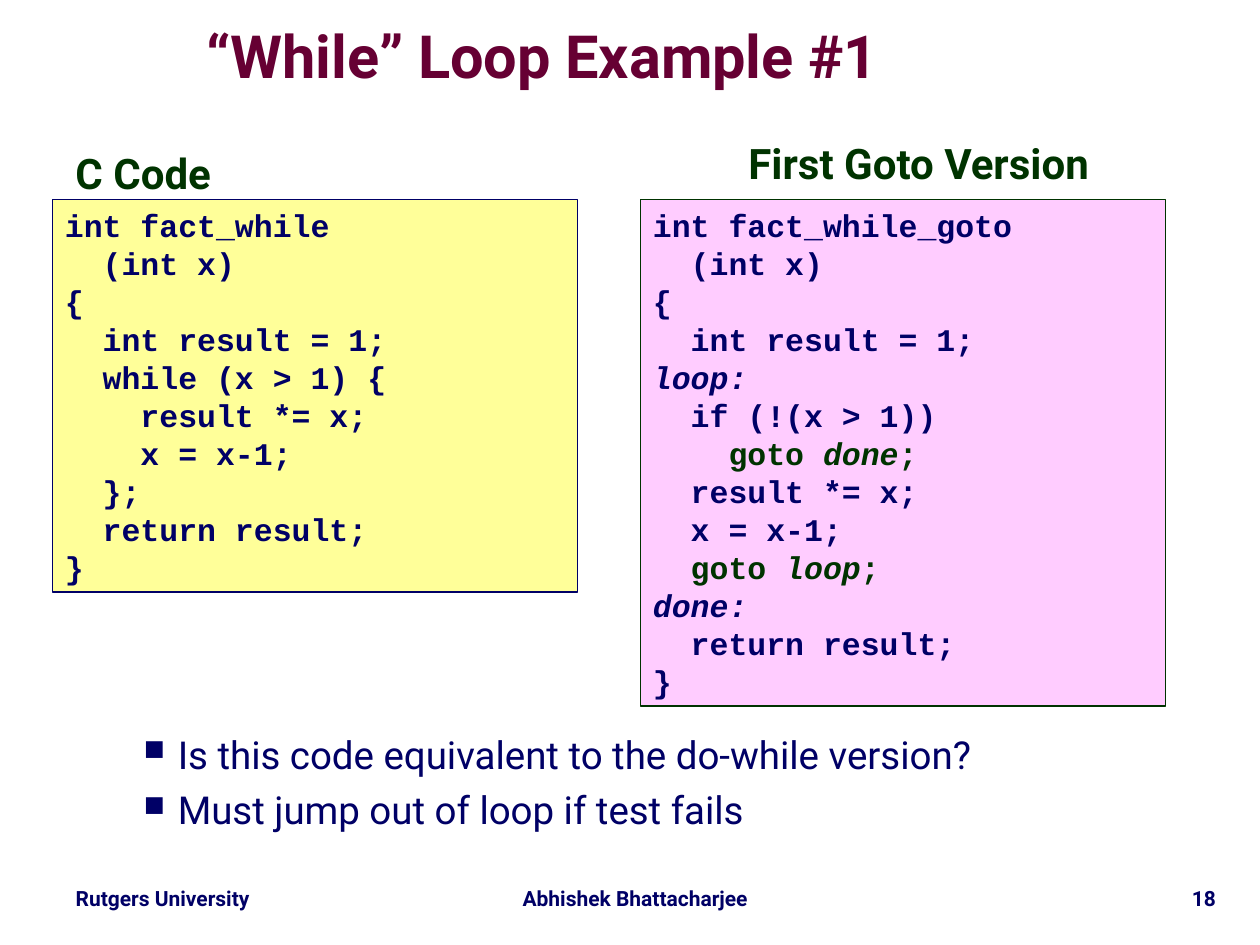
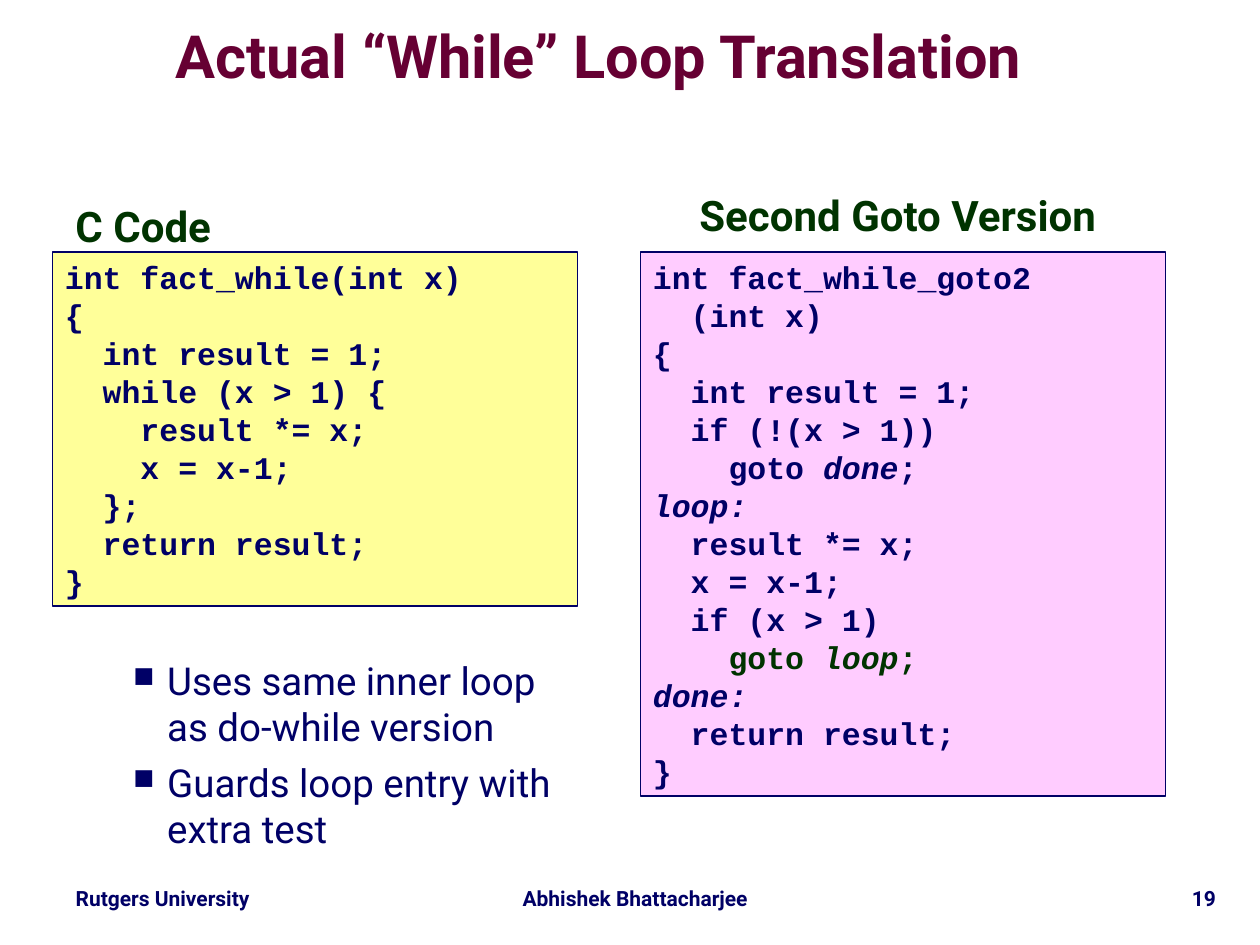
from pptx import Presentation
from pptx.dml.color import RGBColor
from pptx.enum.shapes import MSO_SHAPE
from pptx.enum.text import MSO_ANCHOR, PP_ALIGN
from pptx.util import Pt
from lxml import etree
from pptx.oxml.ns import qn

LEFT, CENTER, RIGHT = PP_ALIGN.LEFT, PP_ALIGN.CENTER, PP_ALIGN.RIGHT
TOP, MIDDLE = MSO_ANCHOR.TOP, MSO_ANCHOR.MIDDLE
RECTANGLE = MSO_SHAPE.RECTANGLE

# Shared look
NAVY, GREEN, MAROON = "000066", "003300", "660033"
YELLOW, PINK = "FFFF99", "FFCCFF"
SANS, MONO = "Roboto", "Courier New"
CODE_LINE, CODE_WIDTH, CODE_INSETS = 21.7, 300, 7.2
C_LEFT, GOTO_LEFT = 30, 366

FOOTERS = [
    (24, 138, CENTER, "Rutgers University"),
    (282, 162, CENTER, "Abhishek Bhattacharjee"),
    (588, 114, RIGHT, None),  # slide number
]

# Content; green_targets are the labels whose goto is highlighted
SLIDES = [
    dict(
        number=18,
        title="“While” Loop Example #1",
        title_span=(36, 548),
        code_top=114,
        c_code="""int fact_while
  (int x)
{
  int result = 1;
  while (x > 1) {
    result *= x;
    x = x-1;
  };
  return result;
}""",
        goto_heading="First Goto Version",
        goto_heading_span=(402, 246),
        goto_border=GREEN,
        goto_code="""int fact_while_goto
  (int x)
{
  int result = 1;
loop:
  if (!(x > 1))
    goto done;
  result *= x;
  x = x-1;
  goto loop;
done:
  return result;
}""",
        green_targets=("done", "loop"),
        notes_area=(36, 414, 650, 102),
        points=["Is this code equivalent to the do-while version?",
                "Must jump out of loop if test fails"],
    ),
    dict(
        number=19,
        title="Actual “While” Loop Translation",
        title_span=(42, 600),
        code_top=144,
        c_code="""int fact_while(int x)
{
  int result = 1;
  while (x > 1) {
    result *= x;
    x = x-1;
  };
  return result;
}""",
        goto_heading="Second Goto Version",
        goto_heading_span=(378, 270),
        goto_border=NAVY,
        goto_code="""int fact_while_goto2
  (int x)
{
  int result = 1;
  if (!(x > 1))
    goto done;
loop:
  result *= x;
  x = x-1;
  if (x > 1)
    goto loop;
done:
  return result;
}""",
        green_targets=("loop",),
        notes_area=(30, 372, 294, 144),
        points=["Uses same inner loop as do-while version",
                "Guards loop entry with extra test"],
    ),
]


def add_run(paragraph, text, size, color, bold=True, italic=False, font=SANS):
    run = paragraph.add_run()
    run.text = text
    run.font.name = font
    run.font.size = Pt(size)
    run.font.bold = bold
    run.font.italic = italic
    run.font.color.rgb = RGBColor.from_string(color)


def add_label(slide, area, text, size, color, align, spacing=0.9):
    frame = slide.shapes.add_textbox(*map(Pt, area)).text_frame
    frame.word_wrap = True
    paragraph = frame.paragraphs[0]
    paragraph.alignment = align
    paragraph.line_spacing = spacing
    add_run(paragraph, text, size, color)
    return frame


prs = Presentation()
prs.slide_width, prs.slide_height = Pt(720), Pt(540)

for content in SLIDES:
    slide = prs.slides.add_slide(prs.slide_layouts[6])
    code_top = content["code_top"]

    # Footer
    for left, width, align, text in FOOTERS:
        add_label(slide, (left, 504, width, 20), text or str(content["number"]),
                  12, NAVY, align)

    # Title
    left, width = content["title_span"]
    title = add_label(slide, (left, 12, width, 45), content["title"],
                      34, MAROON, CENTER, 0.87)
    title.vertical_anchor = MIDDLE
    title.margin_left = title.margin_right = title.margin_top = title.margin_bottom = 0

    # Headings above the code
    add_label(slide, (36, code_top - 30, 205, 32.4), "C Code", 24, GREEN, LEFT)
    left, width = content["goto_heading_span"]
    add_label(slide, (left, code_top - 36, width, 32.4), content["goto_heading"],
              24, GREEN, CENTER)

    # Code panels
    for left, code, fill, border in [
        (C_LEFT, content["c_code"], YELLOW, NAVY),
        (GOTO_LEFT, content["goto_code"], PINK, content["goto_border"]),
    ]:
        lines = code.split("\n")
        panel = slide.shapes.add_shape(
            RECTANGLE, Pt(left), Pt(code_top), Pt(CODE_WIDTH),
            Pt(len(lines) * CODE_LINE + CODE_INSETS))
        panel.shadow.inherit = False
        panel.fill.solid()
        panel.fill.fore_color.rgb = RGBColor.from_string(fill)
        panel.line.color.rgb = RGBColor.from_string(border)
        panel.line.width = Pt(1)
        frame = panel.text_frame
        frame.word_wrap = True
        frame.vertical_anchor = TOP
        for index, line in enumerate(lines):
            paragraph = frame.add_paragraph() if index else frame.paragraphs[0]
            paragraph.alignment = LEFT
            paragraph.line_spacing = Pt(CODE_LINE)
            indent, jump, target = line.partition("goto ")
            if jump and not indent.strip():
                target = target.rstrip(";")
                color = GREEN if target in content["green_targets"] else NAVY
                add_run(paragraph, indent + "goto", 18, color, font=MONO)
                add_run(paragraph, " " + target, 18, color, italic=True, font=MONO)
                add_run(paragraph, ";", 18, color, font=MONO)
            else:
                add_run(paragraph, line, 18, NAVY, italic=line.endswith(":"), font=MONO)

    # Bullet points
    frame = slide.shapes.add_textbox(*map(Pt, content["notes_area"])).text_frame
    frame.word_wrap = True
    for index, point in enumerate(content["points"]):
        paragraph = frame.add_paragraph() if index else frame.paragraphs[0]
        paragraph.level = 1
        if index:
            paragraph.space_before = Pt(5.5)
        properties = paragraph._p.get_or_add_pPr()
        properties.set("marL", str(Pt(58.5)))
        properties.set("indent", str(-Pt(19.5)))
        etree.SubElement(properties, qn("a:buSzPct"), val="75000")
        etree.SubElement(properties, qn("a:buChar"), char="■")
        add_run(paragraph, point, 22, NAVY, bold=False)

prs.save("out.pptx")
